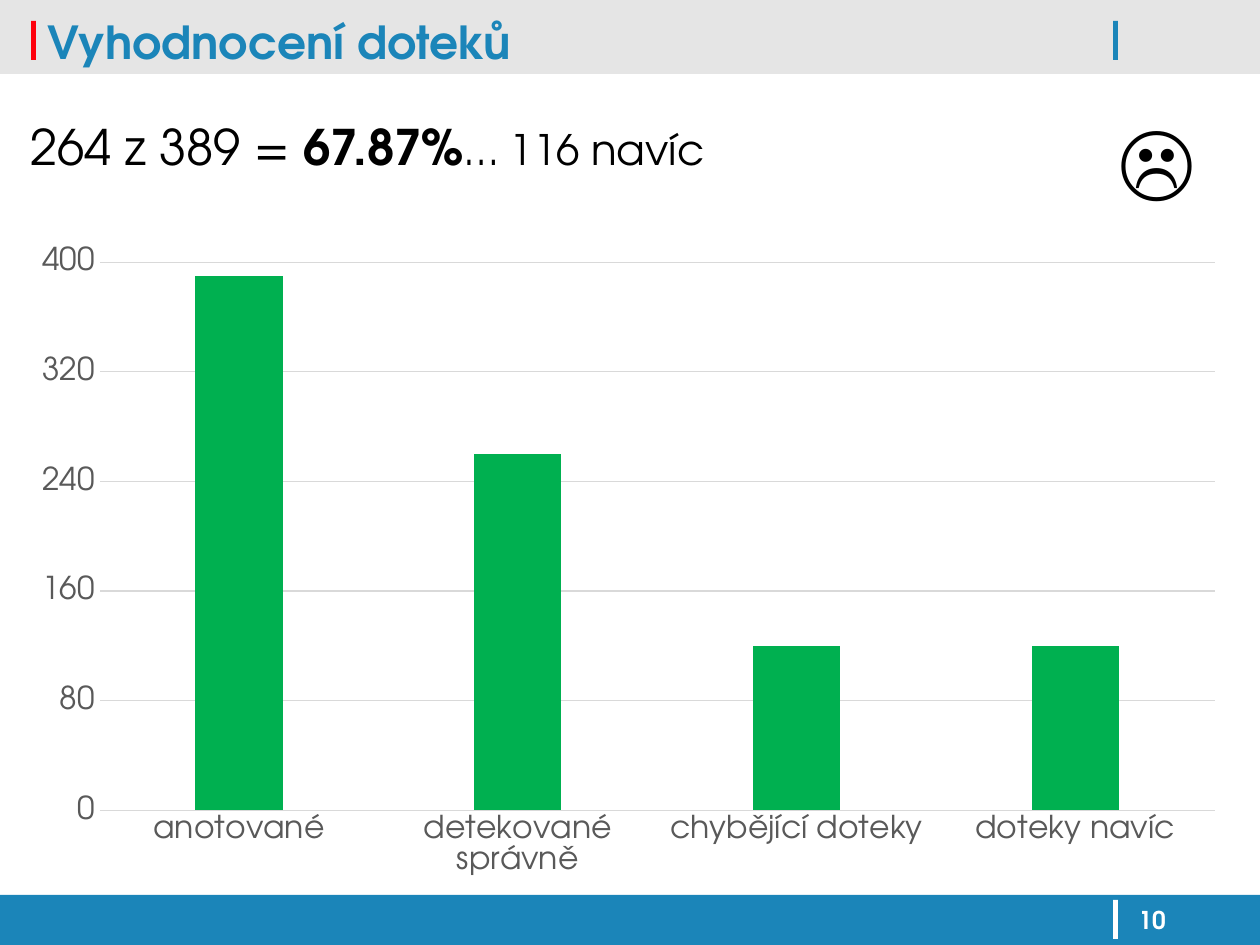
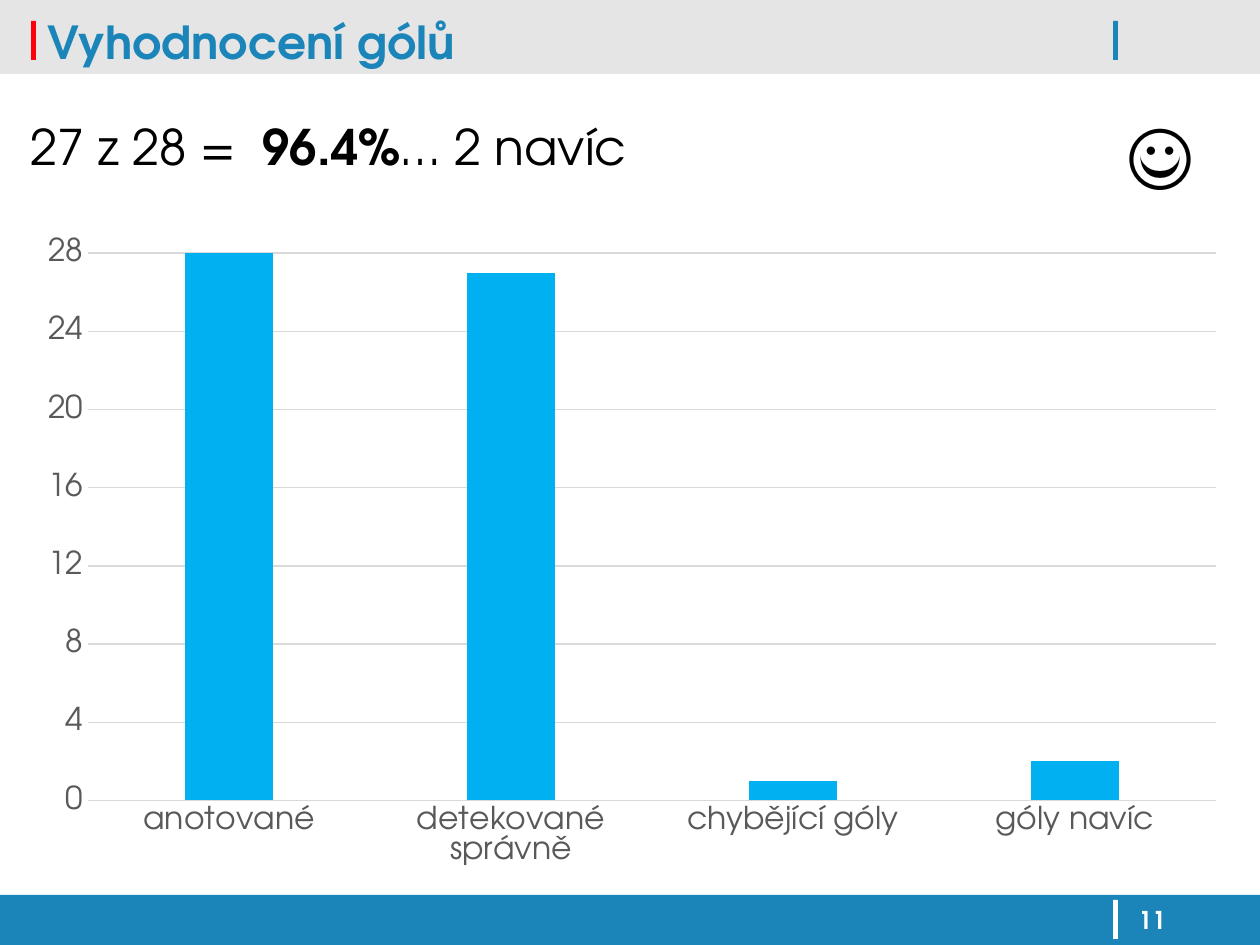
"""Build two slides that evaluate detected touches and goals."""
from pptx import Presentation
from pptx.chart.data import CategoryChartData
from pptx.dml.color import RGBColor
from pptx.enum.chart import XL_CHART_TYPE, XL_TICK_MARK
from pptx.enum.shapes import MSO_SHAPE
from pptx.enum.text import MSO_ANCHOR, MSO_AUTO_SIZE, PP_ALIGN
from pptx.util import Pt

FONT = "TeX Gyre Adventor"
BLUE, RED, WHITE, BLACK = "1B85B9", "FE000C", "FFFFFF", "000000"
BAND_GRAY, LABEL_GRAY, LINE_GRAY = "E5E5E5", "595959", "D9D9D9"
EMU_PER_PX = 914400 / 126
WIDTH, HEIGHT = 1260, 945

FRAME = [
    ((0, 895, WIDTH, 50), BLUE),
    ((0, 0, WIDTH, 74), BAND_GRAY),
    ((31, 21, 5, 39), RED),
    ((1113, 21, 5, 39), BLUE),
    ((1113, 900, 5, 39), WHITE),
]
TITLE_BOX = (35, -9, 1071, 100)
NUMBER_BOX = (1126, 899, 113, 45)
FACE_BOX = (1106, 100, 97, 115)

SLIDES = [
    {
        "title": "Vyhodnocení doteků",
        "number": "10",
        "result": [("264 z 389 = ", 28, False), ("67.87%", 28, True), ("… 116 navíc", 24, False)],
        "result_box": (18, 110, 714, 72),
        "face": ("☹", 48, True),
        "chart_box": (18, 234, 1221, 655),
        "bars": {"anotované": 390, "detekované správně": 260,
                 "chybějící doteky": 120, "doteky navíc": 120},
        "scale": (400, 80),
        "color": "00B050",
    },
    {
        "title": "Vyhodnocení gólů",
        "number": "11",
        "result": [("27 z 28 =  ", 28, False), ("96.4%", 28, True), ("… 2 navíc", 28, False)],
        "result_box": (18, 110, 633, 72),
        "face": ("☺", 48, False),
        "chart_box": (24, 225, 1216, 654),
        "bars": {"anotované": 28, "detekované správně": 27,
                 "chybějící góly": 1, "góly navíc": 2},
        "scale": (28, 4),
        "color": "00B0F0",
    },
]


def emu(*lengths):
    """Turn px lengths into EMU."""
    return [round(length * EMU_PER_PX) for length in lengths]


def rgb(color):
    """Turn a hex string into a colour."""
    return RGBColor.from_string(color)


def style_font(font, size, color, bold=False):
    """Apply the shared typeface with a size, colour and weight."""
    font.name, font.size, font.bold = FONT, Pt(size), bold
    font.color.rgb = rgb(color)


def add_frame(slide, layout):
    """Draw the bands and marks and hand them to the shared layout."""
    for box, color in FRAME:
        shape = slide.shapes.add_shape(MSO_SHAPE.RECTANGLE, *emu(*box))
        shape.shadow.inherit = False
        shape.fill.solid()
        shape.fill.fore_color.rgb = rgb(color)
        shape.line.fill.background()
        layout.shapes._spTree.append(shape._element)


def set_title(slide, text):
    """Place and format the title placeholder."""
    title = slide.shapes.title
    title.left, title.top, title.width, title.height = emu(*TITLE_BOX)
    title.text_frame.text = text
    title.text_frame.vertical_anchor = MSO_ANCHOR.MIDDLE
    paragraph = title.text_frame.paragraphs[0]
    paragraph.alignment = PP_ALIGN.LEFT
    style_font(paragraph.font, 26, BLUE, True)


def add_text(slide, box, runs, color=BLACK):
    """Add one line of text made of (text, size, bold) runs."""
    frame = slide.shapes.add_textbox(*emu(*box)).text_frame
    frame.word_wrap = color != BLACK
    if color == BLACK:
        frame.auto_size = MSO_AUTO_SIZE.SHAPE_TO_FIT_TEXT
    paragraph = frame.paragraphs[0]
    for text, size, bold in runs:
        run = paragraph.add_run()
        run.text = text
        style_font(run.font, size, color, bold)


def style_axis(axis):
    """Format what both axes share."""
    axis.major_tick_mark = axis.minor_tick_mark = XL_TICK_MARK.NONE
    style_font(axis.tick_labels.font, 18, LABEL_GRAY)


def style_line(line):
    """Make a thin gray chart line."""
    line.color.rgb = rgb(LINE_GRAY)
    line.width = Pt(0.75)


def add_column_chart(slide, box, bars, scale, color):
    """Add a column chart with one series."""
    data = CategoryChartData()
    data.categories = list(bars)
    data.add_series("Series 1", list(bars.values()))
    chart = slide.shapes.add_chart(XL_CHART_TYPE.COLUMN_CLUSTERED, *emu(*box), data).chart
    chart.has_title = chart.has_legend = False
    style_font(chart.font, 10, BLACK)

    plot = chart.plots[0]
    plot.vary_by_categories = False
    plot.gap_width, plot.overlap = 219, -27
    fill = plot.series[0].format.fill
    fill.solid()
    fill.fore_color.rgb = rgb(color)

    category_axis, value_axis = chart.category_axis, chart.value_axis
    for axis in (category_axis, value_axis):
        style_axis(axis)
    style_line(category_axis.format.line)
    style_line(value_axis.major_gridlines.format.line)
    value_axis.format.line.fill.background()
    value_axis.minimum_scale = 0
    value_axis.maximum_scale, value_axis.major_unit = scale


def main():
    """Build and save the presentation."""
    presentation = Presentation()
    presentation.slide_width, presentation.slide_height = emu(WIDTH, HEIGHT)
    layout = presentation.slide_layouts[5]
    for index, content in enumerate(SLIDES):
        slide = presentation.slides.add_slide(layout)
        if index == 0:
            add_frame(slide, layout)
        set_title(slide, content["title"])
        add_text(slide, NUMBER_BOX, [(content["number"], 14, True)], WHITE)
        add_column_chart(slide, content["chart_box"], content["bars"],
                         content["scale"], content["color"])
        add_text(slide, content["result_box"], content["result"])
        add_text(slide, FACE_BOX, [content["face"]])
    presentation.save("out.pptx")


if __name__ == "__main__":
    main()
